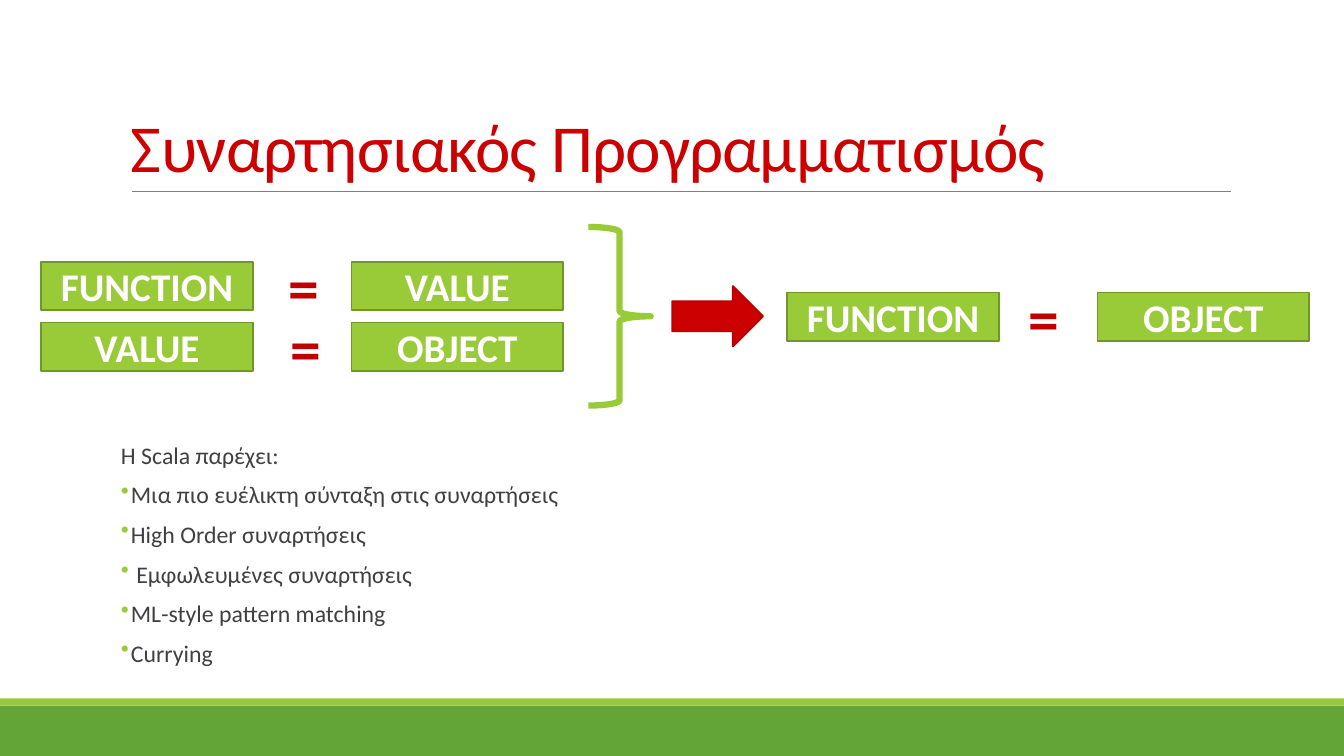
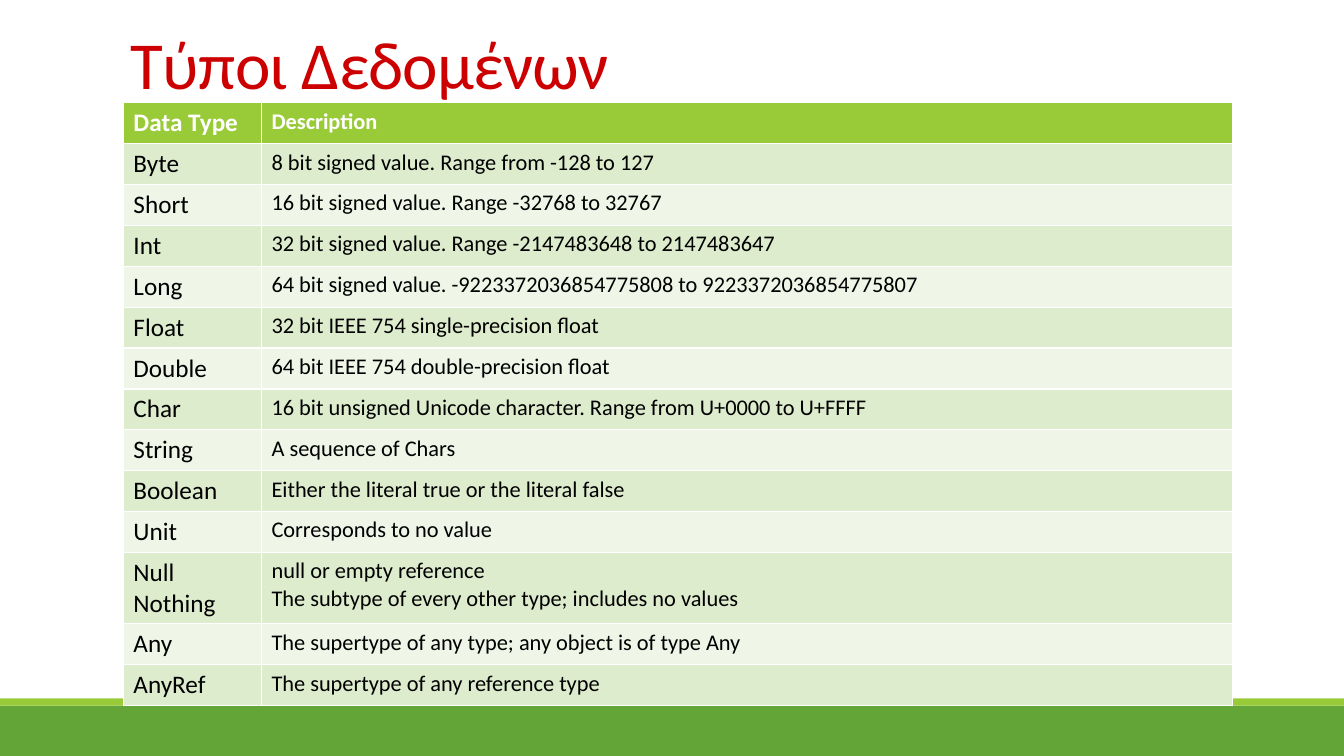
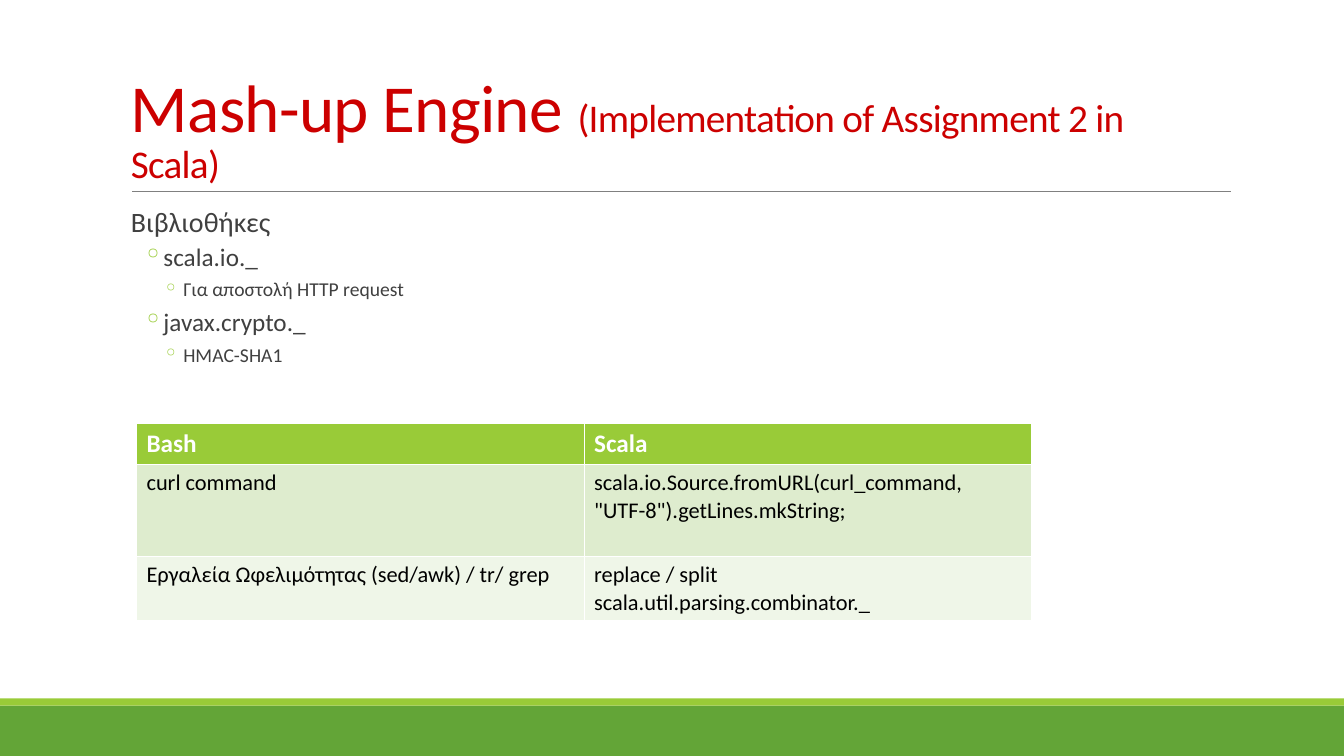
from lxml import etree
from pptx import Presentation
from pptx import util as u
from pptx.dml.color import RGBColor
from pptx.enum import shapes as sh, text as tx
from pptx.oxml import ns

Cm, Pt = u.Cm, u.Pt
RED = RGBColor(0xCC, 0x00, 0x00)
DARK_RED = RGBColor(0xBC, 0x00, 0x00)
SIGN_RED = RGBColor(0xC0, 0x00, 0x00)
LIME = RGBColor(0x99, 0xCB, 0x38)
OLIVE = RGBColor(0x71, 0x96, 0x29)
GREEN = RGBColor(0x63, 0xA5, 0x37)
PALE = RGBColor(0xDE, 0xEC, 0xCE)
FAINT = RGBColor(0xEF, 0xF6, 0xE8)
GREY = RGBColor(0x80, 0x80, 0x80)
INK = RGBColor(0x40, 0x40, 0x40)
BLACK = RGBColor(0, 0, 0)
WHITE = RGBColor(0xFF, 0xFF, 0xFF)
FONT = "Calibri"
WIDE, TALL = 33.87, 19.05
SIDE, SPAN = 3.05, 27.94
KIND = sh.MSO_SHAPE

TYPES = [
    ("Data Type", "Description"),
    ("Byte", "8 bit signed value. Range from -128 to 127"),
    ("Short", "16 bit signed value. Range -32768 to 32767"),
    ("Int", "32 bit signed value. Range -2147483648 to 2147483647"),
    ("Long", "64 bit signed value. -9223372036854775808 to 9223372036854775807"),
    ("Float", "32 bit IEEE 754 single-precision float"),
    ("Double", "64 bit IEEE 754 double-precision float"),
    ("Char", "16 bit unsigned Unicode character. Range from U+0000 to U+FFFF"),
    ("String", "A sequence of Chars"),
    ("Boolean", "Either the literal true or the literal false"),
    ("Unit", "Corresponds to no value"),
    ("Null\nNothing", "null or empty reference\n"
     "The subtype of every other type; includes no values"),
    ("Any", "The supertype of any type; any object is of type Any"),
    ("AnyRef", "The supertype of any reference type"),
]
TOOLS = [
    ("Bash", "Scala"),
    ("curl command",
     'scala.io.Source.fromURL(curl_command, "UTF-8").getLines.mkString;'),
    ("Εργαλεία Ωφελιμότητας (sed/awk) / tr/ grep",
     "replace / split\nscala.util.parsing.combinator._"),
]
OFFERS = [
    "Μια πιο ευέλικτη σύνταξη στις συναρτήσεις",
    "High Order συναρτήσεις",
    " Εμφωλευμένες συναρτήσεις",
    "ML-style pattern matching",
    "Currying",
]


def style(run, size, color, bold=False):
    font = run.font
    font.name, font.size, font.bold = FONT, Pt(size), bold
    font.color.rgb = color


def add_shape(slide, kind, box, fill=None, line=None, width=1.25):
    shape = slide.shapes.add_shape(kind, *map(Cm, box))
    shape.shadow.inherit = False
    if fill is None:
        shape.fill.background()
    else:
        shape.fill.solid()
        shape.fill.fore_color.rgb = fill
    if line is None:
        shape.line.fill.background()
    else:
        shape.line.color.rgb = line
        shape.line.width = Pt(width)
    return shape


def add_text(slide, box):
    frame = slide.shapes.add_textbox(*map(Cm, box)).text_frame
    frame.word_wrap = True
    return frame


def add_rule(slide, left, top, width):
    rule = slide.shapes.add_connector(
        sh.MSO_CONNECTOR.STRAIGHT, Cm(left), Cm(top), Cm(left + width), Cm(top))
    rule.line.color.rgb = GREY
    rule.line.width = Pt(0.5)
    etree.SubElement(rule._element.spPr, ns.qn("a:effectLst"))


def add_base(deck, parts, top=0.79, height=4.04, ruled=True):
    slide = deck.slides.add_slide(deck.slide_layouts[6])
    add_shape(slide, KIND.RECTANGLE, (0, 17.78, WIDE, 1.27), GREEN)
    add_shape(slide, KIND.RECTANGLE, (0, 17.6, WIDE, 0.18), LIME)
    if ruled:
        add_rule(slide, SIDE + 0.28, top + height, SPAN - 0.25)
    frame = add_text(slide, (SIDE, top, SPAN, height))
    frame.vertical_anchor = tx.MSO_ANCHOR.BOTTOM
    par = frame.paragraphs[0]
    par.line_spacing = 0.85
    for words, size in parts:
        run = par.add_run()
        run.text = words
        style(run, size, RED)
        run._r.get_or_add_rPr().set("spc", "-50")
    return slide


def add_mark(par, mark, left, hang):
    props = par._p.get_or_add_pPr()
    props.set("marL", str(Cm(left)))
    props.set("indent", str(-Cm(hang)))
    if mark:
        tint = etree.SubElement(props, ns.qn("a:buClr"))
        etree.SubElement(tint, ns.qn("a:srgbClr"), val=str(LIME))
        etree.SubElement(props, ns.qn("a:buChar"), char=mark)


def add_list(slide, box, rows, pitch, before, after):
    frame = add_text(slide, box)
    frame.margin_left = frame.margin_right = 0
    frame.text = "\n".join(row[0] for row in rows)
    for place, (par, row) in enumerate(zip(frame.paragraphs, rows)):
        words, size, mark, left, hang = row
        add_mark(par, mark, left, hang)
        par.line_spacing = pitch
        par.space_before = Pt(before if place else 0)
        par.space_after = Pt(after if place else 2)
        style(par.runs[0], size, INK)


def add_table(slide, left, top, cols, heights, rows, head, body):
    grid = slide.shapes.add_table(
        len(rows), len(cols), Cm(left), Cm(top),
        Cm(sum(cols)), Cm(sum(heights))).table
    for col, width in zip(grid.columns, cols):
        col.width = Cm(width)
    for r, (row, height) in enumerate(zip(rows, heights)):
        grid.rows[r].height = Cm(height)
        fill = (FAINT, PALE)[r % 2] if r else LIME
        for c, words in enumerate(row):
            cell = grid.cell(r, c)
            cell.fill.solid()
            cell.fill.fore_color.rgb = fill
            cell.text_frame.text = words
            for par in cell.text_frame.paragraphs:
                size = body[c] if r else head[c]
                style(par.runs[0], size, BLACK if r else WHITE, not r)


def add_equal(slide, left, top, names, shift):
    for place, name in enumerate(names):
        box = (left + place * 7.82, top, 5.33, 1.22)
        shape = add_shape(slide, KIND.RECTANGLE, box, LIME, OLIVE)
        frame = shape.text_frame
        frame.text = name
        frame.vertical_anchor = tx.MSO_ANCHOR.MIDDLE
        frame.paragraphs[0].alignment = tx.PP_ALIGN.CENTER
        style(frame.paragraphs[0].runs[0], 28, WHITE, True)
    frame = add_text(slide, (left + shift, top - 0.45, 1.52, 2.13))
    frame.text = "="
    style(frame.paragraphs[0].runs[0], 44, SIGN_RED, True)


def make_logic(deck):
    slide = add_base(deck, [("Συναρτησιακός Προγραμματισμός", 48)])
    rows = [("Η Scala παρέχει:", 17, None, 0, 0)]
    rows += [(words, 17, "•", 0.25, 0.25) for words in OFFERS]
    add_list(slide, (SIDE, 11.17, SPAN, 6.08), rows, 0.7, 12, 2)
    add_shape(slide, KIND.RIGHT_BRACE, (14.83, 5.72, 1.57, 4.5), None, LIME, 4.5)
    add_shape(slide, KIND.RIGHT_ARROW, (16.94, 7.21, 2.29, 1.52), RED, DARK_RED)
    add_equal(slide, 1.04, 6.6, ("FUNCTION", "VALUE"), 5.97)
    add_equal(slide, 1.04, 8.13, ("VALUE", "OBJECT"), 6.02)
    add_equal(slide, 19.84, 7.37, ("FUNCTION", "OBJECT"), 5.84)


def make_types(deck):
    slide = add_base(deck, [("Τύποι Δεδομένων", 48)], 0.38, 2.34, False)
    heights = [1.8 if "\n" in name else 1.03 for name, _ in TYPES]
    add_table(slide, 3.11, 2.59, (3.48, 24.46), heights, TYPES,
              (18, 16), (18, 16))


def make_engine(deck):
    slide = add_base(deck, [
        ("Mash-up Engine ", 48),
        ("(Implementation of Assignment 2 in Scala)", 28)])
    add_list(slide, (SIDE, 5.13, SPAN, 5), [
        ("Βιβλιοθήκες", 20, None, 0.25, 0),
        ("scala.io._", 18, "◦", 1.07, 0.51),
        ("Για αποστολή HTTP request", 14, "◦", 1.57, 0.51),
        ("javax.crypto._", 18, "◦", 1.07, 0.51),
        ("HMAC-SHA1", 14, "◦", 1.57, 0.51)], 0.9, 2, 4)
    add_table(slide, 3.44, 10.67, (11.28, 11.28), (1.03, 2.32, 1.63), TOOLS,
              (18, 18), (16, 16))


def main():
    deck = Presentation()
    deck.slide_width, deck.slide_height = Cm(WIDE), Cm(TALL)
    make_logic(deck)
    make_types(deck)
    make_engine(deck)
    deck.save("out.pptx")


if __name__ == "__main__":
    main()
